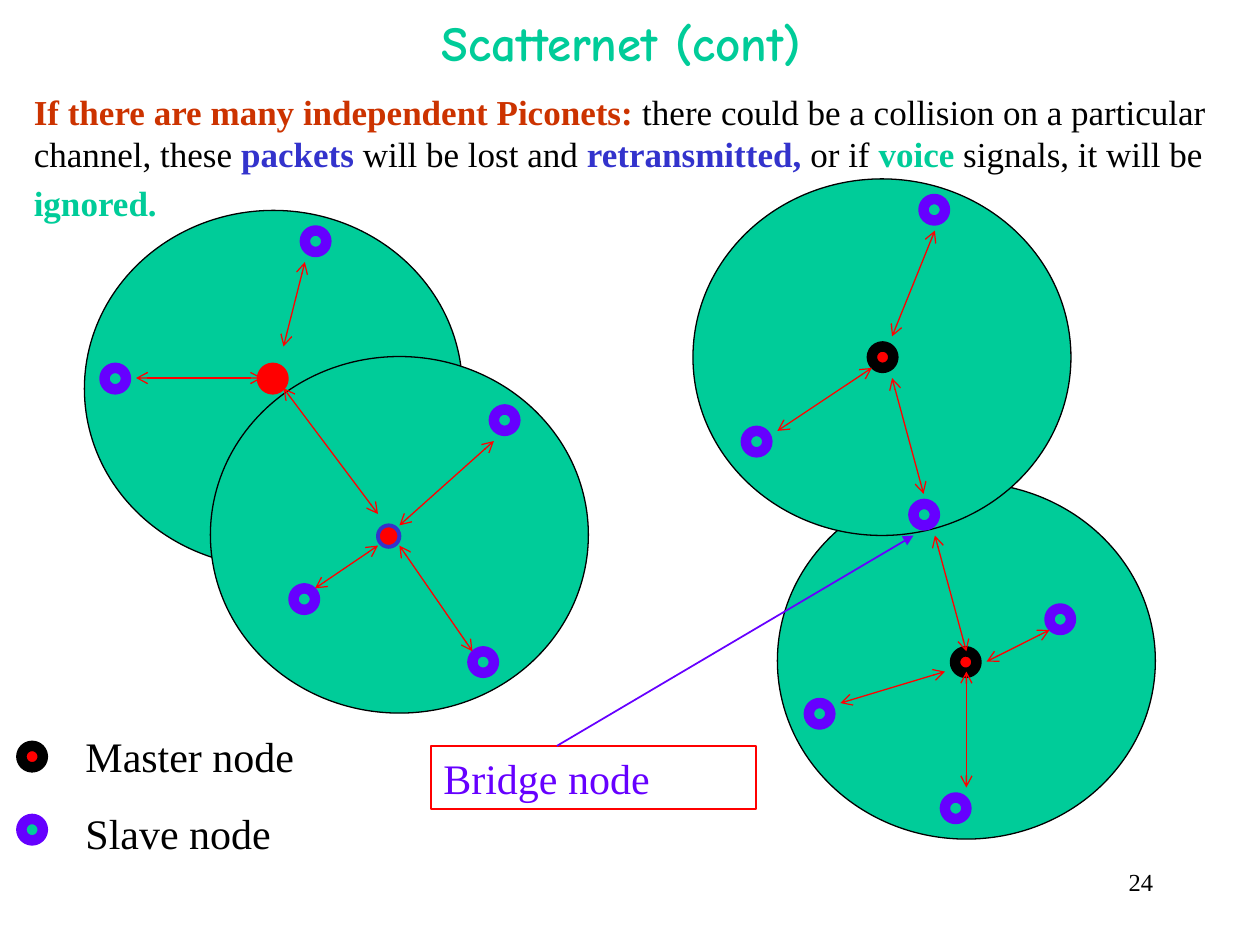
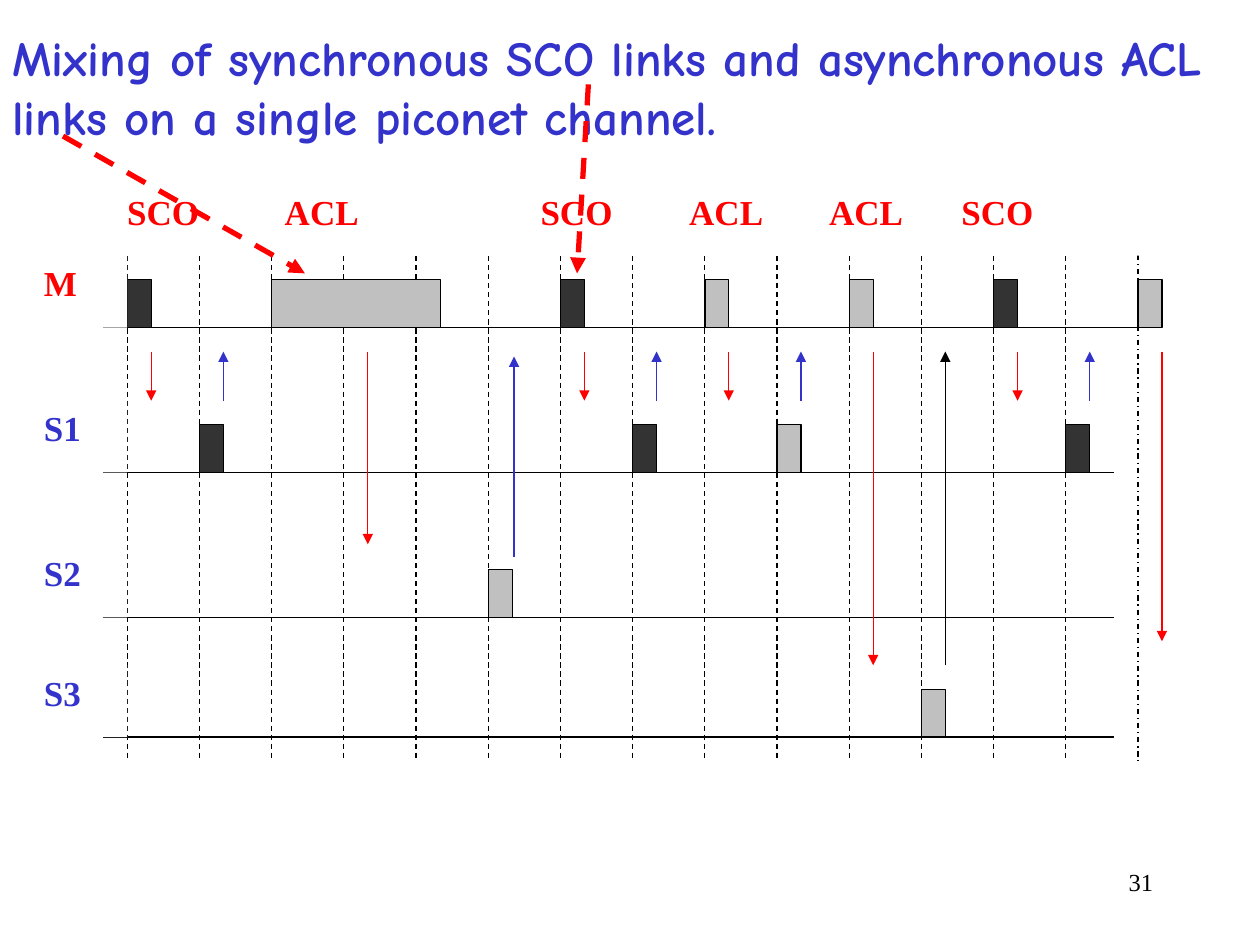
"""Two slides on Bluetooth scatternets and on mixing SCO and ACL links."""
from lxml.etree import SubElement
from pptx import Presentation
from pptx.dml.color import RGBColor
from pptx.enum.dml import MSO_LINE
from pptx.enum.shapes import MSO_CONNECTOR, MSO_SHAPE
from pptx.enum.text import MSO_ANCHOR, PP_ALIGN
from pptx.oxml.ns import qn
from pptx.util import Inches, Pt

COLORS = {
    "black": "000000", "white": "FFFFFF", "red": "FF0000", "rust": "CC3300",
    "blue": "3333CC", "violet": "6600FF", "green": "00CC99",
    "dark": "333333", "gray": "C0C0C0",
}
RGB = {name: RGBColor.from_string(value) for name, value in COLORS.items()}
BODY_FONT = "Times New Roman"
TITLE = {"font": "Comic Neue", "size": 28, "bold": True}
THIN = 0.74


def add_text(page, place, paragraphs, font=BODY_FONT, size=20, color="black", bold=False,
             align=PP_ALIGN.LEFT, anchor=MSO_ANCHOR.TOP, before=0, inset=0.1,
             fill=None, outline=None):
    box = page.shapes.add_textbox(*[Inches(value) for value in place])
    if fill:
        box.fill.solid()
        box.fill.fore_color.rgb = RGB[fill]
    if outline:
        box.line.color.rgb = RGB[outline]
        box.line.width = Pt(1.5)
    frame = box.text_frame
    frame.word_wrap = True
    frame.vertical_anchor = anchor
    frame.margin_left = Inches(inset)
    for number, runs in enumerate(paragraphs):
        para = frame.add_paragraph() if number else frame.paragraphs[0]
        para.alignment = align
        para.space_before = Pt(before)
        for text, changes in [(runs, {})] if isinstance(runs, str) else runs:
            span = para.add_run()
            span.text = text
            span.font.name = font
            span.font.size = Pt(changes.get("size", size))
            span.font.bold = changes.get("bold", bold)
            span.font.color.rgb = RGB[changes.get("color", color)]
    return box


def add_line(page, start, end, color="black", width=THIN, dash=None, head=None, tail=None):
    line = page.shapes.add_connector(
        MSO_CONNECTOR.STRAIGHT, *[Inches(value) for value in (*start, *end)])
    line.line.color.rgb = RGB[color]
    line.line.width = Pt(width)
    if dash:
        line.line.dash_style = dash
    outline = line.line._get_or_add_ln()
    for tag, kind in (("a:headEnd", head), ("a:tailEnd", tail)):
        if kind:
            SubElement(outline, qn(tag)).set("type", kind)
    SubElement(line._element.spPr, qn("a:effectLst"))


deck = Presentation()
deck.slide_width = Inches(10)
deck.slide_height = Inches(7.5)
scatternet, timing = [deck.slides.add_slide(deck.slide_layouts[6]) for _ in range(2)]
for page, number in ((scatternet, "24"), (timing, "31")):
    add_text(page, (7.17, 6.83, 2.08, 0.5), [number], size=14, align=PP_ALIGN.RIGHT)

add_text(scatternet, (0.75, 0, 8.5, 0.67), ["Scatternet (cont) "], color="green",
         align=PP_ALIGN.CENTER, anchor=MSO_ANCHOR.MIDDLE, **TITLE)

piconets = [(0.67, 1.67), (1.67, 2.83), (6.17, 3.83), (5.5, 1.42)]
masters = [(6.92, 2.75), (7.58, 5.17), (0.17, 5.92)]
slaves = [
    (3.92, 3.25), (3.75, 5.17), (2.33, 4.67), (0.83, 2.92), (2.42, 1.83), (5.92, 3.42),
    (8.33, 4.83), (7.5, 6.33), (6.42, 5.58), (7.25, 4), (0.17, 6.5), (7.33, 1.58),
]
ellipse_kinds = [
    (piconets, 3, 2.83, "green", "black", THIN),
    ([(3, 4.17)], 0.17, 0.17, "red", "blue", 2.24),
    ([(2.08, 2.92)], 0.17, 0.17, "red", "red", 6),
    (masters, 0.17, 0.17, "red", "black", 6),
    (slaves, 0.17, 0.17, "green", "violet", 6),
]
for places, width, height, fill, outline, weight in ellipse_kinds:
    for left, top in places:
        node = scatternet.shapes.add_shape(
            MSO_SHAPE.OVAL, Inches(left), Inches(top), Inches(width), Inches(height))
        node.shadow.inherit = False
        node.fill.solid()
        node.fill.fore_color.rgb = RGB[fill]
        node.line.color.rgb = RGB[outline]
        node.line.width = Pt(weight)

radio_links = [
    ((3, 4.33), (2.5, 4.67)), ((3.17, 4.33), (3.75, 5.17)), ((3.17, 4.17), (3.92, 3.5)),
    ((2.08, 3), (1.08, 3)), ((2.25, 3.08), (3, 4.08)), ((2.25, 2.75), (2.42, 2.08)),
    ((7.42, 4.25), (7.67, 5.17)), ((6.92, 2.92), (6.17, 3.42)), ((7.08, 3), (7.33, 3.92)),
    ((7.5, 5.33), (6.67, 5.58)), ((7.67, 5.33), (7.67, 6.25)), ((7.83, 5.25), (8.33, 5)),
    ((7.08, 2.67), (7.42, 1.83)),
]
for start, end in radio_links:
    add_line(scatternet, start, end, "red", head="arrow", tail="arrow")

add_text(scatternet, (0.58, 5.75, 2.08, 1.11), ["Master node", "Slave node"], size=24, before=15)
add_text(scatternet, (3.42, 5.92, 2.58, 0.5), ["Bridge node"], size=24, color="violet",
         before=15, outline="red")
add_line(scatternet, (4.42, 5.92), (7.25, 4.25), "violet", 1, tail="triangle")
add_text(scatternet, (0.17, 0.67, 9.67, 1.17), [[
    ("If there are many independent Piconets:", {"color": "rust", "bold": True}),
    (" there could be a collision on a particular channel, these ", {}),
    ("packets", {"color": "blue", "bold": True}),
    (" will be lost and ", {}),
    ("retransmitted,", {"color": "blue", "bold": True}),
    (" or if ", {}),
    ("voice", {"color": "green", "bold": True}),
    (" signals, it will be ", {}),
    ("ignored.", {"color": "green", "bold": True}),
    (" ", {"size": 24}),
]], before=15)

FIRST_SLOT, SLOT_STEP, BAR_WIDTH, BAR_HEIGHT = 1.01, 0.573, 0.19, 0.38
slots = [FIRST_SLOT + SLOT_STEP * number for number in range(15)]
baselines = {"M": 2.6, "S1": 3.75, "S2": 4.9, "S3": 5.85}

for name, baseline in baselines.items():
    add_line(timing, (0.82, baseline), (9.22 if name == "M" else 8.84, baseline))
for left in slots:
    dash = MSO_LINE.DASH_DOT if left == slots[-1] else MSO_LINE.DASH
    add_line(timing, (left, 1.46), (left, 6.04), dash=dash)

packets = [
    ("M", "dark", (0, 6, 12)), ("S1", "dark", (1, 7, 13)),
    ("M", "gray", (2, 8, 10, 14)), ("S1", "gray", (9,)),
    ("S2", "gray", (5,)), ("S3", "gray", (11,)),
]
for name, fill, numbers in packets:
    for number in numbers:
        width = 1.34 if number == 2 else BAR_WIDTH
        bar = timing.shapes.add_shape(
            MSO_SHAPE.RECTANGLE, Inches(slots[number]), Inches(baselines[name] - BAR_HEIGHT),
            Inches(width), Inches(BAR_HEIGHT))
        bar.shadow.inherit = False
        bar.fill.solid()
        bar.fill.fore_color.rgb = RGB[fill]
        bar.line.color.rgb = RGB["black"]
        bar.line.width = Pt(THIN)

transfers = [
    ((0, 6, 8, 12), 2.79, 3.18, "red"), ((1, 7, 9, 13), 3.18, 2.79, "blue"),
    ((3,), 2.79, 4.32, "red"), ((10,), 2.79, 5.28, "red"),
    ((11,), 5.28, 2.79, "black"), ((14,), 2.79, 5.09, "red"),
]
for numbers, start, end, color in transfers:
    for number in numbers:
        middle = slots[number] + BAR_WIDTH
        add_line(timing, (middle, start), (middle, end), color, tail="triangle")

for name, baseline in baselines.items():
    add_text(timing, (0.25, baseline - 0.57, 0.76, 0.57), [name], bold=True,
             color="red" if name == "M" else "blue", fill="white")
link_names = add_text(timing, (0.63, 1.46, 8.59, 0.57), ["SCO\tACL\tSCO\tACL\tACL\tSCO"],
                      color="red", bold=True, inset=0.38, fill="white")
tab_stops = SubElement(link_names.text_frame.paragraphs[0]._p.get_or_add_pPr(), qn("a:tabLst"))
for position in (1.25, 3.28, 4.46, 5.57, 6.62):
    tab = SubElement(tab_stops, qn("a:tab"))
    tab.set("pos", str(Inches(position)))
    tab.set("algn", "l")

add_text(timing, (0, 0.17, 10, 1.04),
         ["Mixing of synchronous SCO links and asynchronous ACL links on a single piconet channel."],
         color="blue", before=17.5, **TITLE)
add_line(timing, (4.08, 4.42), (4.08, 2.83), "blue", tail="triangle")
for start, end in (((4.67, 0.67), (4.58, 2.17)), ((0.5, 1.08), (2.42, 2.17))):
    add_line(timing, start, end, "red", 3, MSO_LINE.DASH, tail="triangle")

deck.save("out.pptx")
